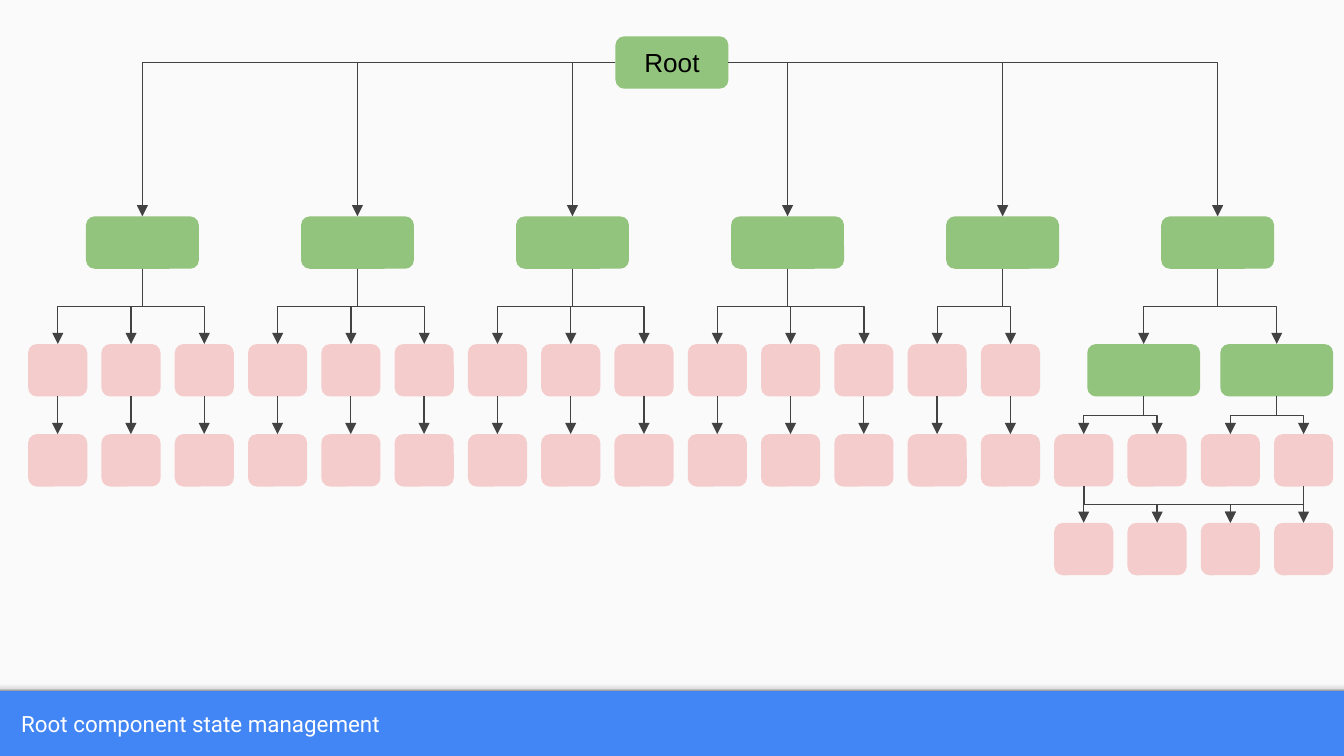
from dataclasses import dataclass

from lxml.etree import SubElement
from pptx import Presentation
from pptx.dml.color import RGBColor
from pptx.enum.shapes import MSO_CONNECTOR, MSO_SHAPE
from pptx.enum.text import MSO_ANCHOR, PP_ALIGN
from pptx.oxml.ns import qn
from pptx.util import Inches, Pt


@dataclass(frozen=True)
class Theme:
    bar: str = "4285F4"
    paper: str = "FAFAFA"
    stateful: str = "93C47D"
    plain: str = "F4CCCC"
    line: str = "424242"
    white: str = "FFFFFF"
    black: str = "000000"
    shade: tuple = ((0, "F9F9F9"), (36, "F9F9F9"), (80, "DEDEDE"), (100, "999999"))
    caption_font: str = "Roboto"
    node_font: str = "Arial"
    caption_size: int = 12
    node_size: int = 14
    line_width: float = 0.75


THEME = Theme()
WIDTH, HEIGHT = 10, 10 * 9 / 16
PAPER_H = 5.14

# Tree measures, in inches
NODE_W, LEAF_W, NODE_H = 0.84, 0.44, 0.39
BRANCH_PITCH = 1.6
LEAF_PITCH = 9.27 / 17
ROWS = (0, 1.34, 2.29, 2.96, 3.62)
LEAVES_PER_BRANCH = (3, 3, 3, 3, 2)
SUB_BRANCHES = ((8.3, (14, 15)), (9.29, (16, 17)))
LAST_ROW_LINKS = ((14, (14, 15, 16)), (17, (16, 17)))


def add_box(s, kind, x, y, w, h, color):
    sp = s.shapes.add_shape(kind, Inches(x), Inches(y), Inches(w), Inches(h))
    sp.shadow.inherit = False
    sp.fill.solid()
    sp.fill.fore_color.rgb = RGBColor.from_string(color)
    sp.line.fill.background()
    return sp


def set_text(sp, text, font, size, color, align):
    tf = sp.text_frame
    tf.word_wrap = True
    tf.vertical_anchor = MSO_ANCHOR.MIDDLE
    tf.margin_left = tf.margin_right = tf.margin_top = tf.margin_bottom = Inches(0.1)
    p = tf.paragraphs[0]
    p.text = text
    p.alignment = align
    p.font.name = font
    p.font.size = Pt(size)
    p.font.color.rgb = RGBColor.from_string(color)


def add_node(s, cx, y, w, color):
    """Rounded box centred on cx."""
    return add_box(s, MSO_SHAPE.ROUNDED_RECTANGLE, cx - w / 2, y, w, NODE_H, color)


def add_elbow(s, x1, y1, x2, y2):
    c = s.shapes.add_connector(
        MSO_CONNECTOR.ELBOW, Inches(x1), Inches(y1), Inches(x2), Inches(y2))
    c.line.color.rgb = RGBColor.from_string(THEME.line)
    c.line.width = Pt(THEME.line_width)
    sppr = c._element.spPr
    SubElement(sppr.find(qn("a:ln")), qn("a:tailEnd"), type="triangle")
    SubElement(sppr, qn("a:effectLst"))
    return sppr


def link_side(s, x1, y1, x2, y2):
    """Arrow that leaves sideways and turns down once."""
    sppr = add_elbow(s, x1, y1, x2, y2)
    sppr.find(qn("a:prstGeom")).set("prst", "bentConnector2")


def link_down(s, x1, y1, x2, y2):
    """Arrow down, across and down: a sideways elbow turned by 90 degrees."""
    cx, cy = (x1 + x2) / 2, (y1 + y2) / 2
    half_w, half_h = (y2 - y1) / 2, abs(x2 - x1) / 2
    leftward = x2 < x1
    start = -half_w if leftward else half_w
    sppr = add_elbow(s, cx + start, cy - half_h, cx - start, cy + half_h)
    angle = 90 if leftward else 270
    sppr.find(qn("a:xfrm")).set("rot", str(angle * 60000))


def draw_paper(s, x, y, w, h):
    add_box(s, MSO_SHAPE.RECTANGLE, x, y, w, h, THEME.paper)
    # Soft shade along the lower edge
    edge = add_box(s, MSO_SHAPE.RECTANGLE, x, y + h - 0.08, w, 0.08, THEME.paper)
    edge.fill.gradient()
    edge.fill.gradient_angle = 270
    stops = edge._element.spPr.find(".//" + qn("a:gsLst"))
    for old in list(stops):
        stops.remove(old)
    for pos, color in THEME.shade:
        stop = SubElement(stops, qn("a:gs"), pos=str(pos * 1000))
        SubElement(stop, qn("a:srgbClr"), val=color)


def draw_caption(s, x, y, w, h):
    tb = s.shapes.add_textbox(Inches(x), Inches(y), Inches(w), Inches(h))
    set_text(tb, "Root component state management", THEME.caption_font,
             THEME.caption_size, THEME.white, PP_ALIGN.LEFT)


def draw_tree(s, x, y, w):
    root_y, branch_y, *leaf_ys = (y + row for row in ROWS)
    leaf_x = [x + LEAF_W / 2 + i * LEAF_PITCH for i in range(18)]
    branch_x = [x + 0.85 + i * BRANCH_PITCH for i in range(6)]
    sub_branches = [(x + cx, cols) for cx, cols in SUB_BRANCHES]
    root_x = x + w / 2

    # Root and branches
    root = add_node(s, root_x, root_y, NODE_W, THEME.stateful)
    set_text(root, "Root", THEME.node_font, THEME.node_size, THEME.black, PP_ALIGN.CENTER)
    for cx in branch_x:
        add_node(s, cx, branch_y, NODE_W, THEME.stateful)
        side = NODE_W / 2 if cx > root_x else -NODE_W / 2
        link_side(s, root_x + side, root_y + NODE_H / 2, cx, branch_y)

    # Leaves: the last four columns sit one row lower
    for i, cx in enumerate(leaf_x):
        first = 0 if i < 14 else 1
        for leaf_y in leaf_ys[first:first + 2]:
            add_node(s, cx, leaf_y, LEAF_W, THEME.plain)
    for cx, _ in sub_branches:
        add_node(s, cx, leaf_ys[0], NODE_W, THEME.stateful)

    # Links from branches to their children
    columns = iter(leaf_x)
    children = [[next(columns) for _ in range(n)] for n in LEAVES_PER_BRANCH]
    children.append([cx for cx, _ in sub_branches])
    links = [(cx, kids, branch_y, leaf_ys[0]) for cx, kids in zip(branch_x, children)]

    # Links between the lower rows
    links += [(cx, [leaf_x[i] for i in cols], leaf_ys[0], leaf_ys[1])
              for cx, cols in sub_branches]
    links += [(leaf_x[i], [leaf_x[j] for j in cols], leaf_ys[1], leaf_ys[2])
              for i, cols in LAST_ROW_LINKS]
    links += [(cx, [cx], leaf_ys[0], leaf_ys[1]) for cx in leaf_x[:14]]
    for cx, kids, top, bottom in links:
        for kid in kids:
            link_down(s, cx, top + NODE_H, kid, bottom)


def main():
    prs = Presentation()
    prs.slide_width, prs.slide_height = Inches(WIDTH), Inches(HEIGHT)
    s = prs.slides.add_slide(prs.slide_layouts[6])
    s.background.fill.solid()
    s.background.fill.fore_color.rgb = RGBColor.from_string(THEME.bar)
    draw_paper(s, 0, 0, WIDTH, PAPER_H)
    draw_caption(s, 0.06, PAPER_H, 9.17, 0.49)
    draw_tree(s, 0.21, 0.27, 9.58)
    prs.save("out.pptx")


if __name__ == "__main__":
    main()
